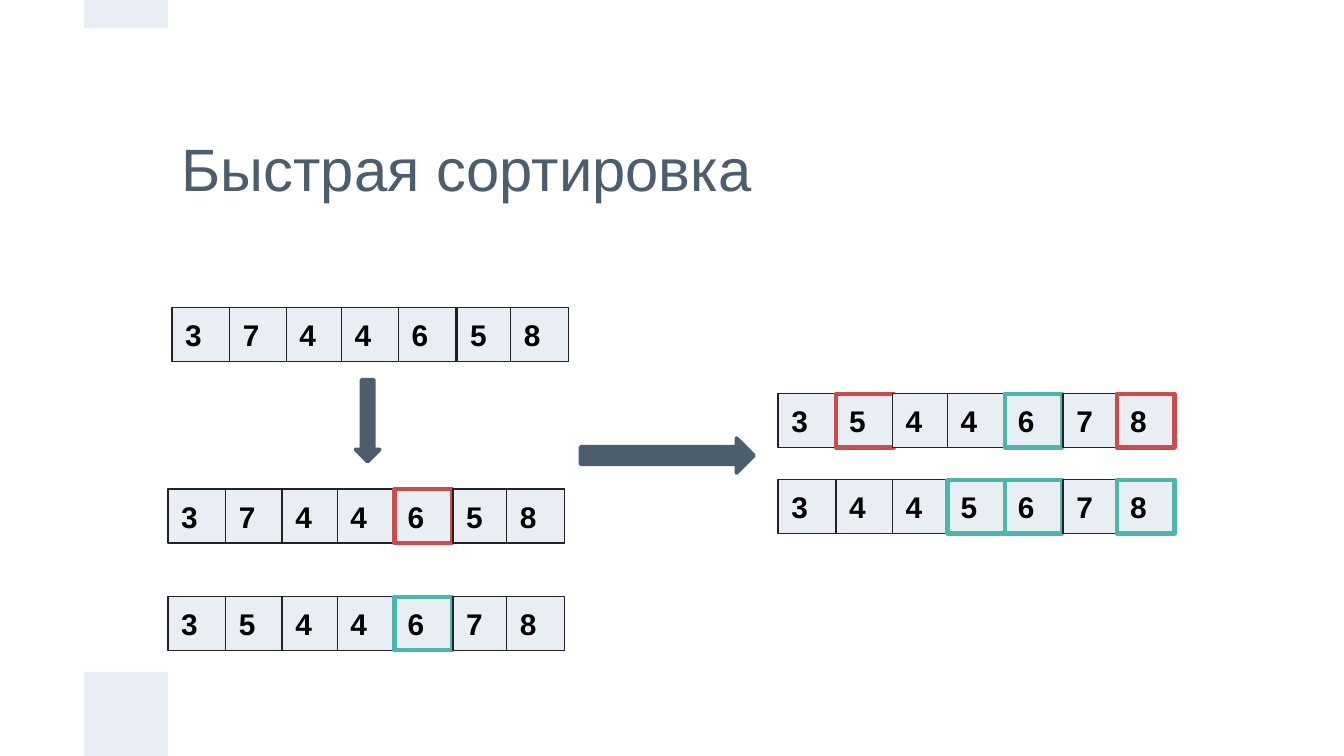
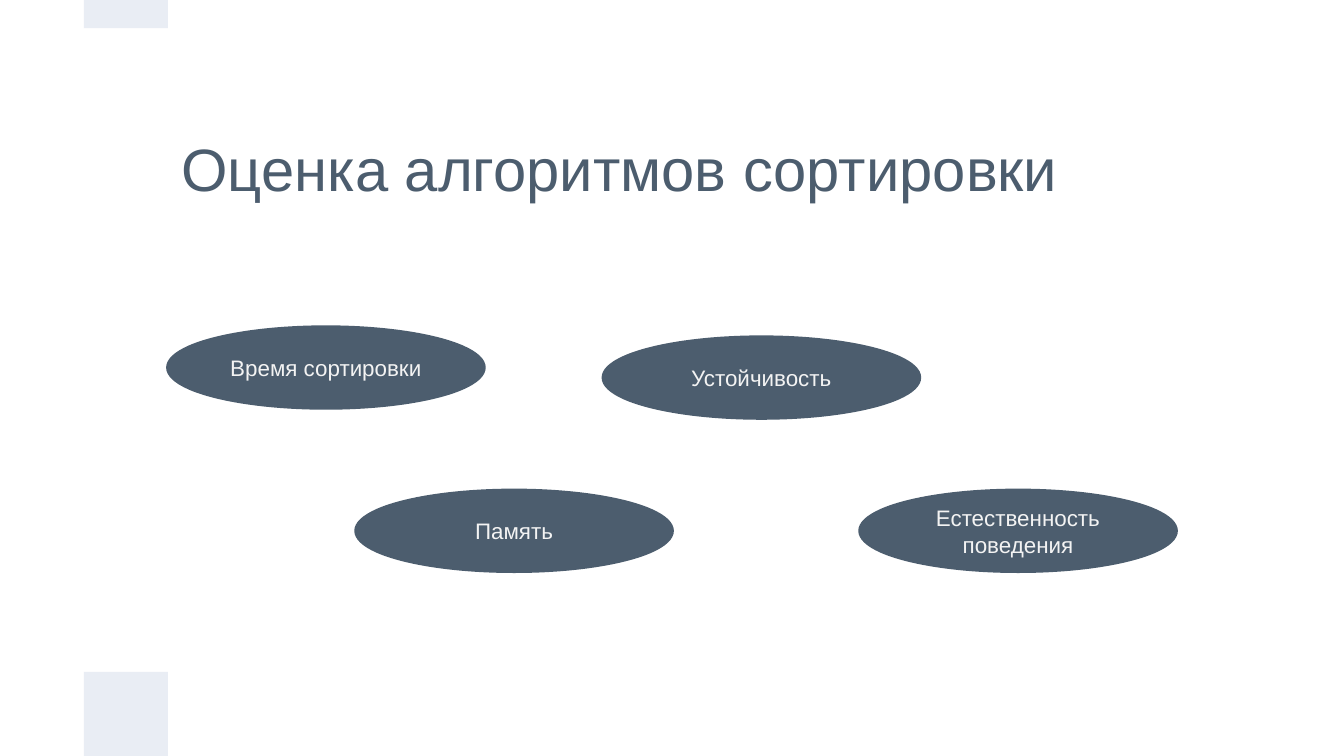
from lxml import etree
from pptx import Presentation
from pptx.dml.color import RGBColor
from pptx.enum.shapes import MSO_SHAPE
from pptx.enum.text import MSO_ANCHOR, MSO_AUTO_SIZE, PP_ALIGN
from pptx.oxml.ns import qn
from pptx.util import Pt

RECTANGLE = MSO_SHAPE.RECTANGLE
OVAL = MSO_SHAPE.OVAL
ARROW = MSO_SHAPE.RIGHT_ARROW
MIDDLE = MSO_ANCHOR.MIDDLE
NO_FIT = MSO_AUTO_SIZE.NONE
LEFT, CENTER = PP_ALIGN.LEFT, PP_ALIGN.CENTER

EMU_PER_PX = 4572
PAGE_WIDTH, PAGE_HEIGHT = 2000, 1125
TITLE_ONLY = 5
FONT = "Arial"
COLORS = {
    "slate": "4C5D6E",
    "pale": "E9EDF4",
    "outline": "222222",
    "digit": "000000",
    "light": "F3F3F3",
    "red": "C94D4C",
    "teal": "4DB6AC",
}

BANDS = [(125, 0, 125, 42), (125, 1000, 125, 125)]
CELL_WIDTH, CELL_HEIGHT = 86, 80
CELL_OFFSETS = (0, 86, 170, 252, 337, 424, 504)
ARRAYS = [
    (256, 458, "3744658", {}),
    (250, 728, "3744658", {4: "red"}),
    (250, 888, "3544678", {4: "teal"}),
    (1158, 586, "3544678", {1: "red", 4: "teal", 6: "red"}),
    (1158, 714, "3445678", {3: "teal", 4: "teal", 6: "teal"}),
]
CRITERIA = [
    (250, 487, "Время сортировки"),
    (530, 730, "Память"),
    (898, 502, "Устойчивость"),
    (1280, 730, "Естественность поведения"),
]


def px(length):
    return length * EMU_PER_PX


def color(name):
    return RGBColor.from_string(COLORS[name])


class Deck:
    def __init__(self):
        self.deck = Presentation()
        self.deck.slide_width = px(PAGE_WIDTH)
        self.deck.slide_height = px(PAGE_HEIGHT)
        self.page = None

    def add_page(self, title):
        self.page = self.deck.slides.add_slide(self.deck.slide_layouts[TITLE_ONLY])
        box = self.page.shapes.title
        box.left, box.top, box.width, box.height = map(px, (250, 125, 1500, 250))
        self.add_text(box, title, 32, "slate")

    def add_bands(self):
        for bounds in BANDS:
            band = self.add_shape(RECTANGLE, bounds, "pale")
            self.deck.slide_master.shapes.element.insert(2, band.element)

    def add_text(self, box, text, size, ink, bold=False, align=LEFT, inset=20):
        frame = box.text_frame
        frame.word_wrap = True
        frame.auto_size = NO_FIT
        frame.vertical_anchor = MIDDLE
        frame.margin_left = frame.margin_right = px(20)
        frame.margin_top = frame.margin_bottom = px(inset)
        para = frame.paragraphs[0]
        para.alignment = align
        span = para.add_run()
        span.text = text
        span.font.name = FONT
        span.font.size = Pt(size)
        span.font.bold = bold
        span.font.color.rgb = color(ink)

    def add_shape(self, kind, bounds, fill, line=None, weight=2):
        shape = self.page.shapes.add_shape(kind, *map(px, bounds))
        shape.shadow.inherit = False
        shape.fill.solid()
        shape.fill.fore_color.rgb = color(fill)
        if line is None:
            shape.line.fill.background()
        else:
            shape.line.color.rgb = color(line)
            shape.line.width = Pt(weight)
            etree.SubElement(shape.element.spPr.find(qn("a:ln")), qn("a:round"))
        return shape

    def add_arrow(self, bounds, rotation=0):
        arrow = self.add_shape(ARROW, bounds, "slate", "slate")
        arrow.rotation = rotation

    def add_array(self, left, top, digits, marks):
        for index, (offset, digit) in enumerate(zip(CELL_OFFSETS, digits)):
            bounds = (left + offset, top, CELL_WIDTH, CELL_HEIGHT)
            line = marks.get(index, "outline")
            weight = 2.25 if index in marks else 0.75
            cell = self.add_shape(RECTANGLE, bounds, "pale", line, weight)
            self.add_text(cell, digit, 16, "digit", bold=True)

    def add_criterion(self, left, top, text):
        oval = self.add_shape(OVAL, (left, top, 470, 120), "slate", "slate")
        self.add_text(oval, text, 12, "light", align=CENTER, inset=10)


def main():
    slides = Deck()

    slides.add_page("Быстрая сортировка")
    slides.add_bands()
    slides.add_arrow((486, 608, 122, 36), rotation=90)
    slides.add_arrow((864, 652, 258, 52))
    for array in ARRAYS:
        slides.add_array(*array)

    slides.add_page("Оценка алгоритмов сортировки")
    for criterion in CRITERIA:
        slides.add_criterion(*criterion)

    slides.deck.save("out.pptx")


if __name__ == "__main__":
    main()
